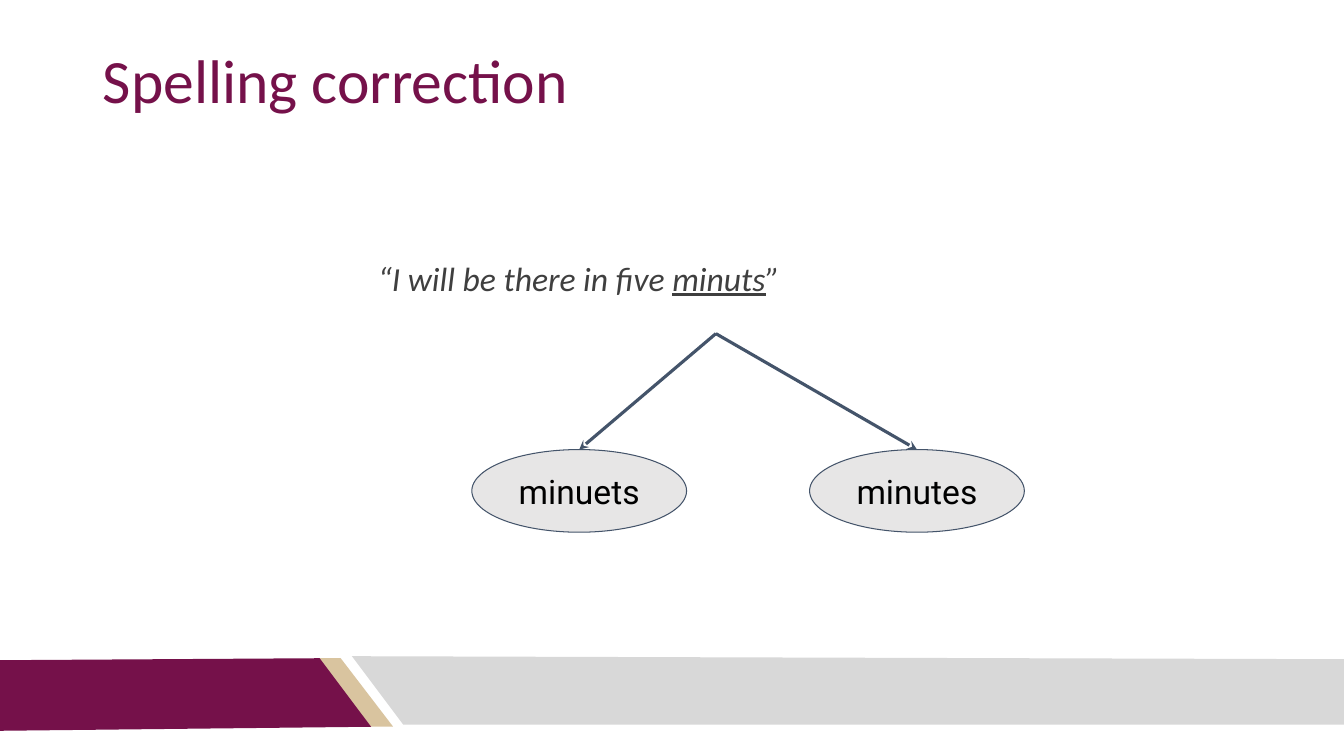
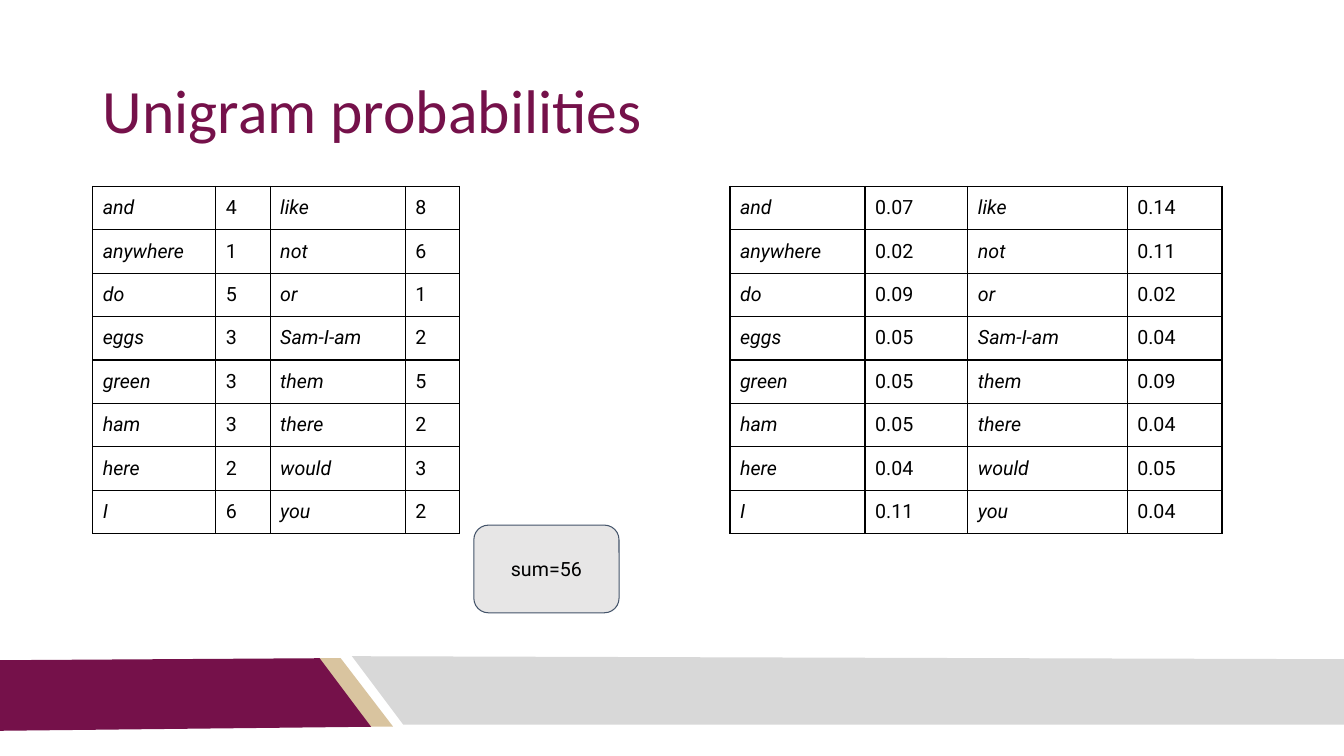
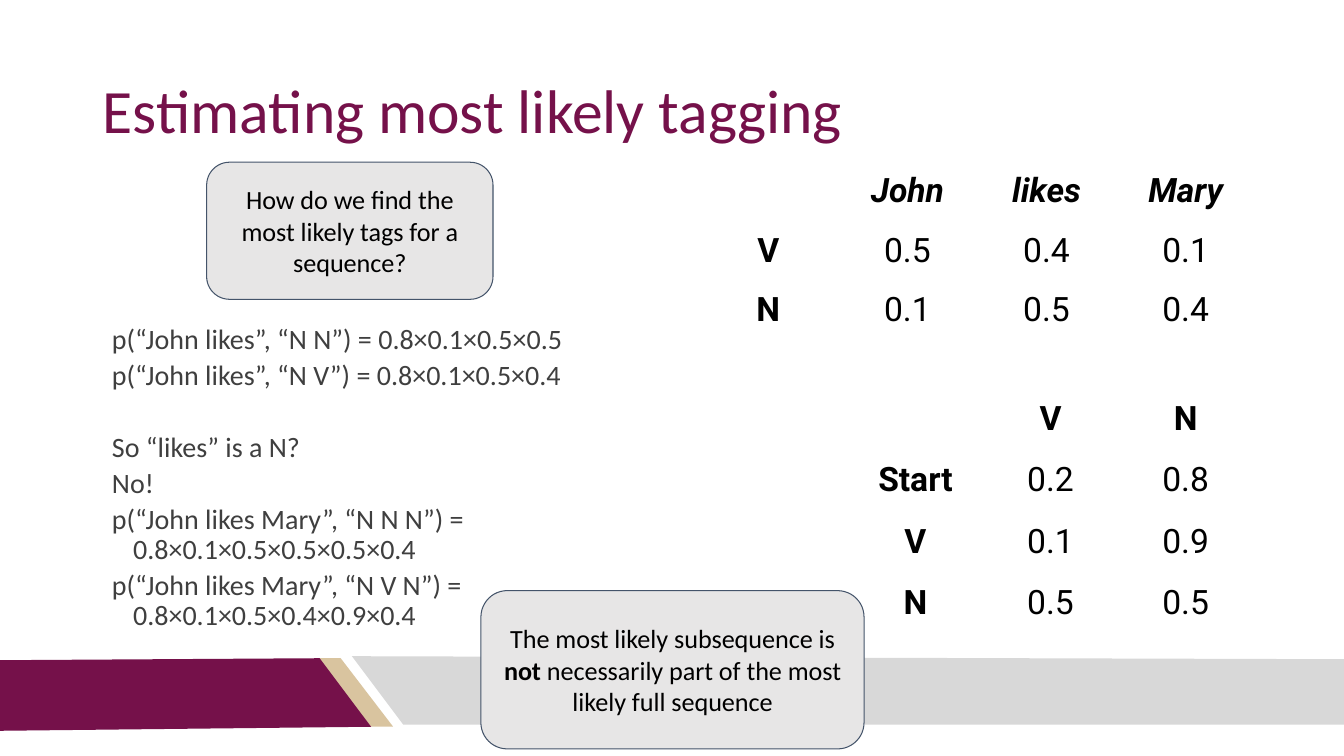
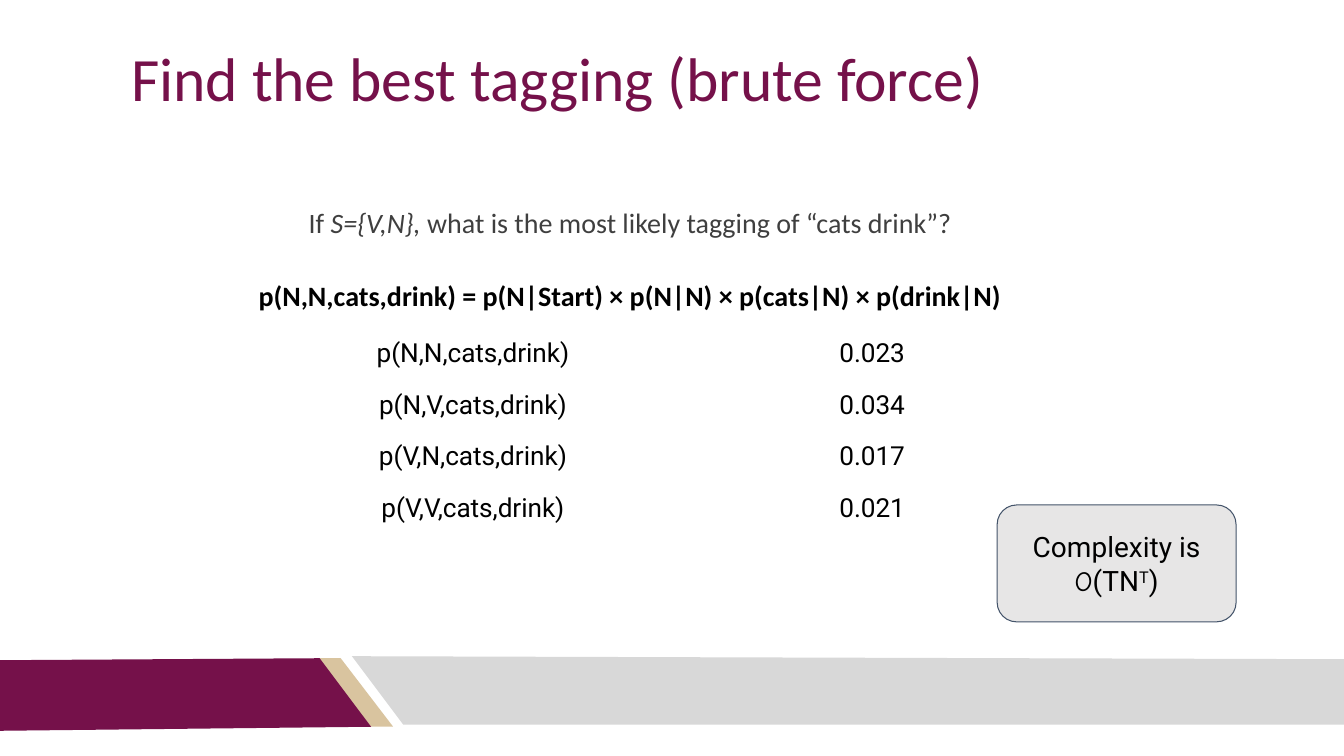
from lxml import etree
from pptx import Presentation
from pptx.dml.color import RGBColor
from pptx.enum.shapes import MSO_CONNECTOR, MSO_SHAPE
from pptx.enum.text import MSO_ANCHOR, MSO_AUTO_SIZE, PP_ALIGN
from pptx.oxml.ns import qn
from pptx.util import Inches, Pt

OVAL, ROUNDED = MSO_SHAPE.OVAL, MSO_SHAPE.ROUNDED_RECTANGLE
STRAIGHT = MSO_CONNECTOR.STRAIGHT
TOP, MIDDLE = MSO_ANCHOR.TOP, MSO_ANCHOR.MIDDLE
LEFT, CENTER = PP_ALIGN.LEFT, PP_ALIGN.CENTER
NO_FIT = MSO_AUTO_SIZE.NONE

COLORS = {
    "maroon": "75114A", "gold": "D9C49F", "band": "D8D8D8", "panel": "E7E6E6",
    "slate": "44546A", "body": "3F3F3F", "black": "000000",
}
BANDS = [
    ("gold", [(3.16, 6.53), (3.38, 6.53), (3.9, 7.21), (3.67, 7.21)]),
    ("maroon", [(-0.01, 6.55), (3.17, 6.53), (3.68, 7.21), (-0.01, 7.25)]),
    ("band", [(3.49, 6.51), (13.34, 6.54), (13.37, 7.19), (4, 7.19)]),
]
TITLE_BOX = (0.92, 0.4, 11.5, 1.45)
TITLE_LAYOUT, BODY_LAYOUT = 5, 1
SMALL = 18.67

WORD_COUNTS = [
    ("and", 4, "like", 8), ("anywhere", 1, "not", 6), ("do", 5, "or", 1),
    ("eggs", 3, "Sam-I-am", 2), ("green", 3, "them", 5), ("ham", 3, "there", 2),
    ("here", 2, "would", 3), ("I", 6, "you", 2),
]
EMISSIONS = [
    ("", "John", "likes", "Mary"),
    ("V", "0.5", "0.4", "0.1"),
    ("N", "0.1", "0.5", "0.4"),
]
TRANSITIONS = [
    ("", "V", "N"), ("Start", "0.2", "0.8"), ("V", "0.1", "0.9"), ("N", "0.5", "0.5"),
]
TAGGINGS = [
    ("p(N,N,cats,drink)", "0.023"), ("p(N,V,cats,drink)", "0.034"),
    ("p(V,N,cats,drink)", "0.017"), ("p(V,V,cats,drink)", "0.021"),
]


def rgb(name):
    """Return a palette colour."""
    return RGBColor.from_string(COLORS[name])


def place(shape, box):
    """Move a shape to a box given in inches."""
    shape.left, shape.top, shape.width, shape.height = (Inches(v) for v in box)


def write(paragraph, runs, size, font="Calibri", color="black"):
    """Add runs, each a text with its own formatting."""
    for text, style in runs:
        run = paragraph.add_run()
        run.text = text
        run.font.name = style.get("font", font)
        run.font.size = Pt(size)
        run.font.color.rgb = rgb(style.get("color", color))
        run.font.bold = style.get("bold", False)
        run.font.italic = style.get("italic", False)
        run.font.underline = style.get("underline", False)
        if "baseline" in style:
            run.font._element.set("baseline", str(style["baseline"]))


def set_frame(frame, inset, anchor):
    """Set the margins and anchor of a wrapping text frame."""
    frame.word_wrap = True
    frame.auto_size = NO_FIT
    frame.vertical_anchor = anchor
    frame.margin_left = frame.margin_right = Inches(inset)
    frame.margin_top = frame.margin_bottom = Inches(inset)


def add_bands(prs, slide):
    """Build the footer bands and put them on the slide master."""
    tree = prs.slide_master.shapes.element
    for index, (color, corners) in enumerate(BANDS):
        points = [(Inches(x), Inches(y)) for x, y in corners]
        builder = slide.shapes.build_freeform(*points[0])
        builder.add_line_segments(points[1:], close=True)
        band = builder.convert_to_shape()
        band.shadow.inherit = False
        band.fill.solid()
        band.fill.fore_color.rgb = rgb(color)
        band.line.fill.background()
        band.element.nvSpPr.cNvPr.set("id", str(101 + index))
        tree.insert(2 + index, band.element)


def new_slide(prs, layout, title, box=TITLE_BOX, anchor=MIDDLE, inset=0.1):
    """Add a slide with its title."""
    slide = prs.slides.add_slide(prs.slide_layouts[layout])
    heading = slide.shapes.title
    place(heading, box)
    set_frame(heading.text_frame, inset, anchor)
    paragraph = heading.text_frame.paragraphs[0]
    paragraph.alignment = LEFT
    paragraph.line_spacing = 0.9
    write(paragraph, [(title, {})], 44, color="maroon")
    return slide


def fill_body(slide, box, lines, size, inset, indent, align=LEFT):
    """Fill the body placeholder with (space before, runs) lines."""
    body = slide.placeholders[1]
    place(body, box)
    frame = body.text_frame
    set_frame(frame, inset, TOP)
    for index, (space, runs) in enumerate(lines):
        paragraph = frame.add_paragraph() if index else frame.paragraphs[0]
        properties = paragraph._p.get_or_add_pPr()
        properties.set("marL", str(Inches(indent[0])))
        properties.set("indent", str(Inches(indent[1])))
        etree.SubElement(properties, qn("a:buNone"))
        paragraph.alignment = align
        paragraph.line_spacing = 0.9
        paragraph.space_before = Pt(space)
        for part, segment in enumerate(runs):
            if segment is None:
                paragraph.add_line_break()
            else:
                write(paragraph, [segment], size, color="body")


def add_panel(slide, preset, box, runs, size, font="Calibri", inset=0.1):
    """Add a grey outlined shape with centred text."""
    panel = slide.shapes.add_shape(preset, *(Inches(v) for v in box))
    panel.shadow.inherit = False
    panel.fill.solid()
    panel.fill.fore_color.rgb = rgb("panel")
    panel.line.color.rgb = rgb("slate")
    panel.line.width = Pt(0.75)
    set_frame(panel.text_frame, inset, MIDDLE)
    paragraph = panel.text_frame.paragraphs[0]
    paragraph.alignment = CENTER
    write(paragraph, runs, size, font)
    return panel


def add_arrow(slide, start, target):
    """Draw an arrow from a point to the top of a shape."""
    x, y = (Inches(v) for v in start)
    arrow = slide.shapes.add_connector(STRAIGHT, x, y, x, y)
    arrow.end_connect(target, 0)
    arrow.line.color.rgb = rgb("slate")
    arrow.line.width = Pt(2.25)
    properties = arrow.element.spPr
    etree.SubElement(arrow.line._get_or_add_ln(), qn("a:tailEnd"), type="stealth")
    etree.SubElement(properties, qn("a:effectLst"))


def add_borders(cell):
    """Draw a thin black line on every side of a cell."""
    properties = cell._tc.get_or_add_tcPr()
    for index, side in enumerate(("lnL", "lnR", "lnT", "lnB")):
        line = etree.Element(qn(f"a:{side}"), w=str(Pt(1)))
        fill = etree.SubElement(line, qn("a:solidFill"))
        etree.SubElement(fill, qn("a:srgbClr"), val=COLORS["black"])
        properties.insert(index, line)


def add_grid(slide, corner, widths, row_height, rows, size, style,
             align=CENTER, inset=0.07, bordered=False):
    """Add a plain table; style(row, column) gives the text formatting."""
    left, top = corner
    box = (left, top, sum(widths), row_height * len(rows))
    table = slide.shapes.add_table(
        len(rows), len(widths), *(Inches(v) for v in box)).table
    table.first_row = table.horz_banding = False
    for column, width in zip(table.columns, widths):
        column.width = Inches(width)
    for r, row in enumerate(rows):
        table.rows[r].height = Inches(row_height)
        for c, text in enumerate(row):
            cell = table.cell(r, c)
            cell.fill.background()
            cell.margin_left = cell.margin_right = Inches(inset)
            cell.margin_top = cell.margin_bottom = Inches(0.1)
            if bordered:
                add_borders(cell)
            if text:
                paragraph = cell.text_frame.paragraphs[0]
                paragraph.alignment = align
                write(paragraph, [(text, style(r, c))], size, "Roboto")


def spelling_slide(prs):
    """Show a misspelt word and its two candidate corrections."""
    slide = new_slide(prs, BODY_LAYOUT, "Spelling correction", anchor=TOP)
    add_bands(prs, slide)
    quote = [
        ("“I will be there in five ", {"italic": True}),
        ("minuts", {"italic": True, "underline": True}),
        ("”", {"italic": True}),
    ]
    fill_body(slide, (-0.08, 2.5, 11.5, 4.17), [(0, quote)], 24, 0.1,
              (0.38, -0.24), CENTER)
    for word, left in (("minuets", 4.68), ("minutes", 8.03)):
        candidate = add_panel(slide, OVAL, (left, 4.46, 2.13, 0.82),
                              [(word, {})], 24, "Roboto")
        add_arrow(slide, (7.1, 3.31), candidate)


def unigram_slide(prs):
    """Show word counts beside the probabilities they give."""
    slide = new_slide(prs, TITLE_LAYOUT, "Unigram probabilities")
    total = sum(a + b for _, a, _, b in WORD_COUNTS)
    counts = [(v, str(a), w, str(b)) for v, a, w, b in WORD_COUNTS]
    shares = [(v, f"{a / total:.2f}", w, f"{b / total:.2f}")
              for v, a, w, b in WORD_COUNTS]
    for left, widths, rows in (
        (0.92, (1.22, 0.54, 1.34, 0.54), counts),
        (7.24, (1.34, 1.02, 1.58, 0.94), shares),
    ):
        add_grid(slide, (left, 1.85), widths, 0.43, rows, 14,
                 lambda r, c: {"italic": c % 2 == 0}, LEFT, 0.1, True)
    add_panel(slide, ROUNDED, (4.7, 5.21, 1.44, 0.87),
              [(f"sum={total}", {})], 14, "Roboto")


def likely_tagging_slide(prs):
    """Compare tag sequences using emission and transition tables."""
    slide = new_slide(prs, BODY_LAYOUT, "Estimating most likely tagging")
    add_panel(slide, ROUNDED, (2.05, 1.61, 2.84, 1.36),
              [("How do we find the most likely tags for a sequence?", {})], SMALL)
    add_grid(slide, (8.41, 3.86), [1.34] * 3, 0.61, TRANSITIONS, 24,
             lambda r, c: {"bold": r == 0 or c == 0})
    add_grid(slide, (6.93, 1.6), [1.38] * 4, 0.59, EMISSIONS, 24,
             lambda r, c: {"bold": r == 0 or c == 0, "italic": r == 0})
    lines = [
        (0, [("p(“John likes”, “N N”) = 0.8×0.1×0.5×0.5", {})]),
        (4, [("p(“John likes”, “N V”) = 0.8×0.1×0.5×0.4", {})]),
        (30, [("So “likes” is a N?", {})]),
        (4, [("No!", {})]),
        (4, [("p(“John likes Mary”, “N N N”) = 0.8×0.1×0.5×0.5×0.5×0.4", {})]),
        (4, [("p(“John likes Mary”, “N V N”) = ", {}), None,
             ("0.8×0.1×0.5×0.4×0.9×0.4", {})]),
    ]
    fill_body(slide, (0.92, 3.15, 5.65, 3.3), lines, 20, 0.08, (0.32, -0.21))
    add_panel(slide, ROUNDED, (4.77, 5.86, 3.8, 1.57), [
        ("The most likely subsequence is ", {}),
        ("not ", {"bold": True}),
        ("necessarily part of the most likely full sequence", {}),
    ], SMALL)


def brute_force_slide(prs):
    """List the probability of every tagging and the cost of the search."""
    slide = new_slide(prs, BODY_LAYOUT, "Find the best tagging (brute force)",
                      (1.22, 0.4, 11.5, 1.45), TOP, 0.08)
    question = [
        ("If ", {}),
        ("S={V,N}, ", {"italic": True}),
        ("what is the most likely tagging of “cats drink”?", {}),
    ]
    formula = [("p(N,N,cats,drink) = p(N|Start) × p(N|N) × p(cats|N) × p(drink|N)",
                {"bold": True, "color": "black"})]
    fill_body(slide, (2.29, 2, 7.81, 4.17), [(0, question), (30, formula)], 20,
              0.08, (0.32, -0.21), CENTER)
    add_grid(slide, (2.71, 3.26), [3.96] * 2, 0.51, TAGGINGS, SMALL,
             lambda r, c: {})
    add_panel(slide, ROUNDED, (9.89, 5.01, 2.37, 1.16), [
        ("Complexity is ", {}),
        ("O", {"font": "Comic Neue"}),
        ("(TN", {}),
        ("T", {"baseline": 30000}),
        (")", {}),
    ], 20, "Roboto", 0.08)


def main():
    """Build the presentation."""
    prs = Presentation()
    prs.slide_width, prs.slide_height = Inches(13.33), Inches(7.5)
    spelling_slide(prs)
    unigram_slide(prs)
    likely_tagging_slide(prs)
    brute_force_slide(prs)
    prs.save("out.pptx")


if __name__ == "__main__":
    main()
